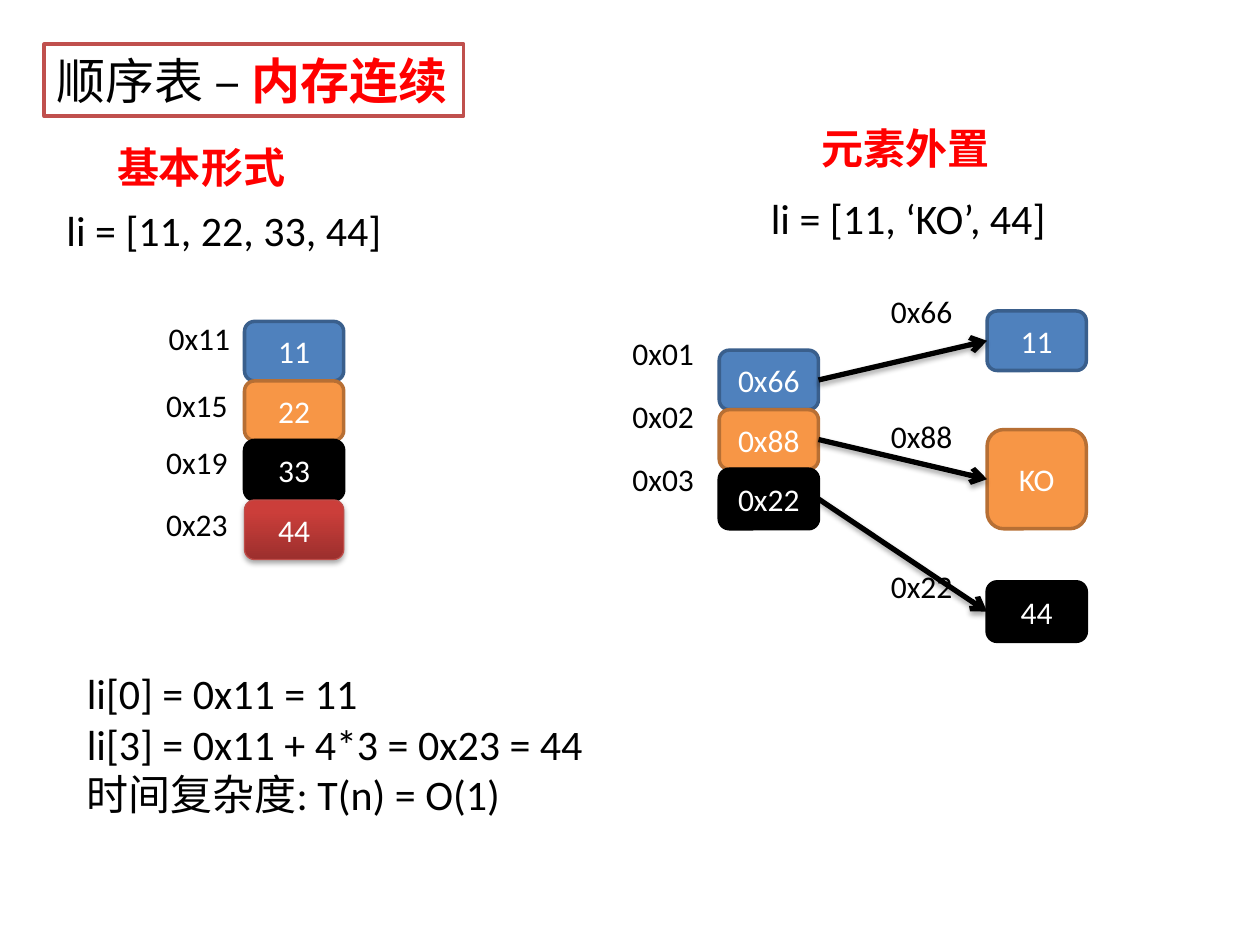
from lxml import etree
from pptx import Presentation
from pptx.dml.color import RGBColor
from pptx.enum import shapes, text
from pptx.oxml import ns
from pptx.util import Cm, Pt

BLACK = RGBColor(0, 0, 0)
WHITE = RGBColor(255, 255, 255)
RED = RGBColor(255, 0, 0)
BLUE = RGBColor(0x4F, 0x81, 0xBD)
BLUE_EDGE = RGBColor(0x3A, 0x5F, 0x8C)
ORANGE = RGBColor(0xF7, 0x96, 0x46)
ORANGE_EDGE = RGBColor(0xB7, 0x6F, 0x34)
TITLE_EDGE = RGBColor(0xC0, 0x50, 0x4D)
BRICK_DARK = RGBColor(0x9C, 0x2F, 0x2D)
BRICK = RGBColor(0xCB, 0x3E, 0x3A)
BRICK_EDGE = RGBColor(0xBF, 0x4C, 0x48)
CELL_COLOURS = [(BLUE, BLUE_EDGE), (ORANGE, ORANGE_EDGE), (BLACK, BLACK)]
CELL_WIDTH, CELL_HEIGHT = 2, 1.2


def add_run(paragraph, wording, size, colour, bold=False):
    run = paragraph.add_run()
    run.text = wording
    run.font.name = "Calibri"
    run.font.size = Pt(size)
    run.font.bold = bold
    run.font.color.rgb = colour


def add_lines(slide, left, top, width, height, lines, size=24, colour=BLACK, bold=False, wrap=True):
    frame = slide.shapes.add_textbox(Cm(left), Cm(top), Cm(width), Cm(height)).text_frame
    frame.word_wrap = wrap
    for index, line in enumerate(lines):
        paragraph = frame.add_paragraph() if index else frame.paragraphs[0]
        add_run(paragraph, line, size, colour, bold)


def add_address(slide, left, top, address):
    add_lines(slide, left, top, 1.75, 1.02, [address], size=18, wrap=False)


def add_soft_shadow(shape):
    properties = shape._element.spPr
    effects = properties.find(ns.qn("a:effectLst"))
    if effects is None:
        effects = etree.SubElement(properties, ns.qn("a:effectLst"))
    shadow = etree.SubElement(effects, ns.qn("a:outerShdw"), blurRad="40000",
                              dist="23000", dir="5400000", rotWithShape="0")
    black = etree.SubElement(shadow, ns.qn("a:srgbClr"), val="000000")
    etree.SubElement(black, ns.qn("a:alpha"), val="35000")


def add_cell(slide, left, top, value, colours, height=CELL_HEIGHT):
    cell = slide.shapes.add_shape(shapes.MSO_SHAPE.ROUNDED_RECTANGLE,
                                  Cm(left), Cm(top), Cm(CELL_WIDTH), Cm(height))
    cell.shadow.inherit = False
    fill, edge = colours
    cell.fill.solid()
    cell.fill.fore_color.rgb = fill
    cell.line.color.rgb = edge
    cell.line.width = Pt(2)
    cell.text_frame.vertical_anchor = text.MSO_ANCHOR.MIDDLE
    paragraph = cell.text_frame.paragraphs[0]
    paragraph.alignment = text.PP_ALIGN.CENTER
    add_run(paragraph, value, 18, WHITE)
    return cell


def shade_brick(cell):
    cell.fill.gradient()
    cell.fill.gradient_angle = 90
    for stop, position, colour in zip(cell.fill.gradient_stops, (0, 0.8), (BRICK_DARK, BRICK)):
        stop.position = position
        stop.color.rgb = colour
    cell.line.width = Pt(0.75)
    add_soft_shadow(cell)


def add_reference(slide, pointer, target):
    arrow = slide.shapes.add_connector(shapes.MSO_CONNECTOR.STRAIGHT, 0, 0, 0, 0)
    arrow.begin_connect(pointer, 3)
    arrow.end_connect(target, 1)
    arrow.line.color.rgb = BLACK
    arrow.line.width = Pt(3)
    etree.SubElement(arrow.line._get_or_add_ln(), ns.qn("a:tailEnd"), type="arrow")
    add_soft_shadow(arrow)


def add_title(slide, left, top, width, height):
    title = slide.shapes.add_shape(shapes.MSO_SHAPE.RECTANGLE, Cm(left), Cm(top), Cm(width), Cm(height))
    title.shadow.inherit = False
    title.fill.solid()
    title.fill.fore_color.rgb = WHITE
    title.line.color.rgb = TITLE_EDGE
    title.line.width = Pt(2)
    title.text_frame.word_wrap = False
    paragraph = title.text_frame.paragraphs[0]
    paragraph.alignment = text.PP_ALIGN.LEFT
    add_run(paragraph, "顺序表 – ", 28, BLACK)
    add_run(paragraph, "内存连续", 28, RED, bold=True)


def add_basic_form(slide, left, top):
    add_lines(slide, left + 1.02, top, 4.19, 1.27, ["基本形式"], colour=RED, bold=True)
    add_lines(slide, left, top + 1.27, 7.11, 1.27, ["li = [11, 22, 33, 44]"])
    colours = CELL_COLOURS + [(BRICK, BRICK_EDGE)]
    for row, (value, pair) in enumerate(zip(("11", "22", "33", "44"), colours)):
        cell = add_cell(slide, left + 3.84, top + 3.76 + row * CELL_HEIGHT, value, pair)
    shade_brick(cell)
    addresses = [("0x11", 2.06, 3.58), ("0x15", 2.01, 4.93), ("0x19", 2.01, 6.09), ("0x23", 2.01, 7.34)]
    for address, across, down in addresses:
        add_address(slide, left + across, top + down, address)


def add_external_form(slide, left, top):
    add_lines(slide, left + 3.81, top, 4.6, 1.27, ["元素外置"], colour=RED, bold=True)
    add_lines(slide, left + 2.79, top + 1.42, 6.55, 1.27, ["li = [11, ‘KO’, 44]"])
    elements = [
        ("0x01", "0x66", "11", 3.93, CELL_HEIGHT, 3.43),
        ("0x02", "0x88", "KO", 6.32, 2, 5.94),
        ("0x03", "0x22", "44", 9.39, CELL_HEIGHT, 8.96),
    ]
    links = []
    for row, (slot, address, value, down, height, address_down) in enumerate(elements):
        colours = CELL_COLOURS[row]
        target = add_cell(slide, left + 7.4, top + down, value, colours, height)
        add_address(slide, left + 5.21, top + address_down, address)
        pointer = add_cell(slide, left + 2, top + 4.72 + row * CELL_HEIGHT, address, colours)
        add_address(slide, left, top + 4.26 + row * 1.27, slot)
        links.append((pointer, target))
    for pointer, target in links:
        add_reference(slide, pointer, target)


def add_access_cost(slide, left, top):
    add_lines(slide, left, top, 11, 3.33, [
        "li[0] = 0x11 = 11",
        "li[3] = 0x11 + 4*3 = 0x23 = 44",
        "时间复杂度: T(n) = O(1)",
    ])


def main():
    deck = Presentation()
    deck.slide_width, deck.slide_height = Cm(25.4), Cm(19.05)
    slide = deck.slides.add_slide(deck.slide_layouts[6])
    add_title(slide, 0.89, 0.89, 8.46, 1.45)
    add_basic_form(slide, 1.09, 2.72)
    add_access_cost(slide, 1.5, 13.34)
    add_external_form(slide, 12.5, 2.34)
    deck.save("out.pptx")


if __name__ == "__main__":
    main()
